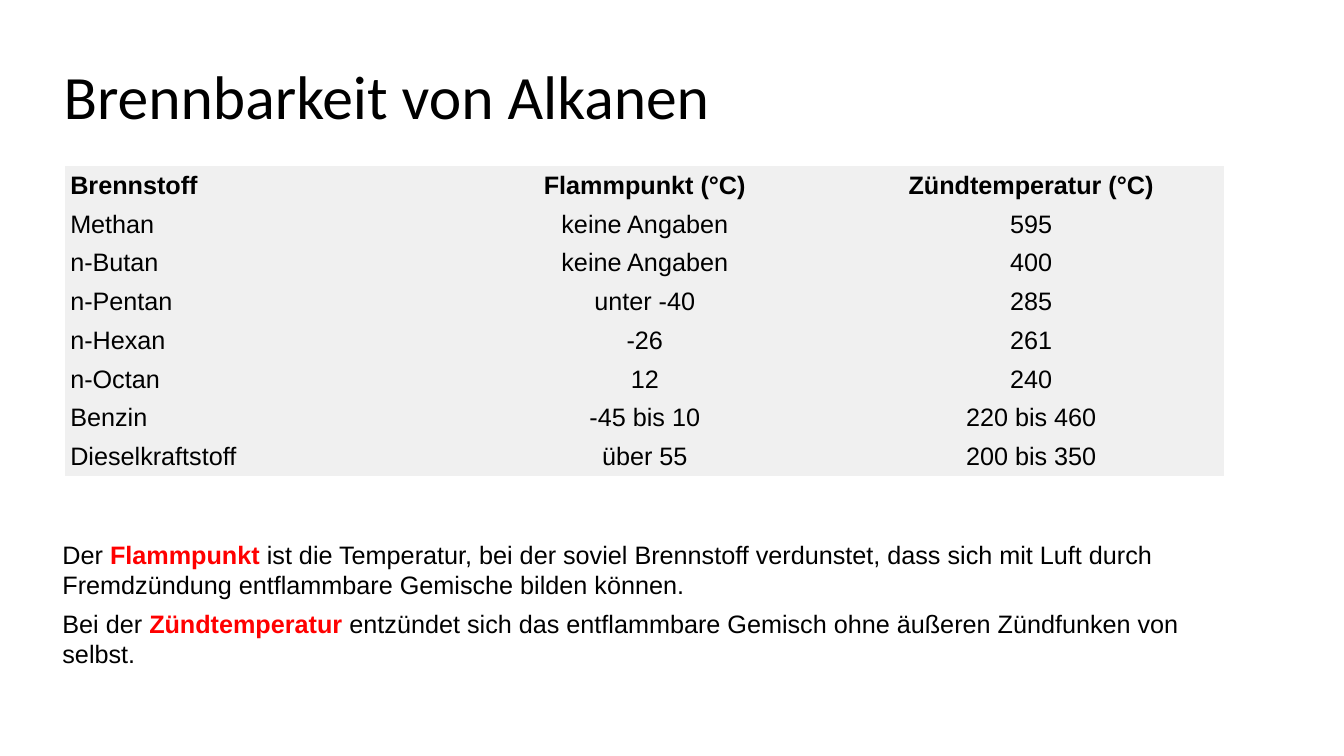
from dataclasses import dataclass

from pptx import Presentation
from pptx import util as u
from pptx.dml.color import RGBColor
from pptx.enum import text


@dataclass(frozen=True)
class Theme:
    ink: str = "000000"
    accent: str = "FF0000"
    cell: str = "F0F0F0"
    heading_font: str = "Calibri"
    body_font: str = "Arial"
    heading_size: int = 44
    body_size: int = 18
    plain_table: str = "{2D5ABB26-0587-4C30-8999-92F81FD0307C}"


def apply(target, values):
    for name, value in values.items():
        setattr(target, name, value)


class Deck:
    def __init__(self, theme, width, height):
        self.theme = theme
        self.prs = Presentation()
        apply(self.prs, {"slide_width": u.Pt(width), "slide_height": u.Pt(height)})
        self.s = self.prs.slides.add_slide(self.prs.slide_layouts[5])

    def run(self, p, content, color=None, **font):
        t = self.theme
        r = p.add_run()
        r.text = content
        apply(r.font, {"name": t.body_font, "size": u.Pt(t.body_size), "bold": False} | font)
        r.font.color.rgb = RGBColor.from_string(color or t.ink)

    def title(self, content, left, top, width, height):
        t = self.theme
        sp = self.s.shapes.title
        apply(sp, {"left": u.Pt(left), "top": u.Pt(top),
                   "width": u.Pt(width), "height": u.Pt(height)})
        tf = sp.text_frame
        apply(tf, {"vertical_anchor": text.MSO_ANCHOR.MIDDLE, "word_wrap": True,
                   "auto_size": text.MSO_AUTO_SIZE.NONE})
        p = tf.paragraphs[0]
        apply(p, {"alignment": text.PP_ALIGN.LEFT, "line_spacing": 0.9})
        self.run(p, content, name=t.heading_font, size=u.Pt(t.heading_size))

    def table(self, rows, left, top, width, row_height, inset):
        t = self.theme
        frame = self.s.shapes.add_table(
            len(rows), len(rows[0]), u.Pt(left), u.Pt(top),
            u.Pt(width), u.Pt(row_height * len(rows)))
        tbl = frame.table
        apply(tbl, {"first_row": False, "horz_banding": False})
        frame._element.xpath(".//a:tableStyleId")[0].text = t.plain_table
        sides = ("margin_left", "margin_top", "margin_right", "margin_bottom")
        cell_format = dict.fromkeys(sides, u.Pt(inset))
        cell_format["vertical_anchor"] = text.MSO_ANCHOR.MIDDLE
        for i, row in enumerate(rows):
            for j, value in enumerate(row):
                cell = tbl.cell(i, j)
                apply(cell, cell_format)
                cell.fill.solid()
                cell.fill.fore_color.rgb = RGBColor.from_string(t.cell)
                p = cell.text_frame.paragraphs[0]
                p.alignment = text.PP_ALIGN.CENTER if j else text.PP_ALIGN.LEFT
                self.run(p, value, bold=i == 0)

    def definitions(self, items, left, top, width, height, gap):
        tf = self.s.shapes.add_textbox(
            u.Pt(left), u.Pt(top), u.Pt(width), u.Pt(height)).text_frame
        apply(tf, {"word_wrap": True, "auto_size": text.MSO_AUTO_SIZE.SHAPE_TO_FIT_TEXT})
        for i, (before, term, after) in enumerate(items):
            p = tf.add_paragraph() if i else tf.paragraphs[0]
            p.space_after = u.Pt(gap)
            self.run(p, before)
            self.run(p, term, self.theme.accent, bold=True)
            self.run(p, after)


FUELS = [
    ("Brennstoff", "Flammpunkt (°C)", "Zündtemperatur (°C)"),
    ("Methan", "keine Angaben", "595"),
    ("n-Butan", "keine Angaben", "400"),
    ("n-Pentan", "unter -40", "285"),
    ("n-Hexan", "-26", "261"),
    ("n-Octan", "12", "240"),
    ("Benzin", "-45 bis 10", "220 bis 460"),
    ("Dieselkraftstoff", "über 55", "200 bis 350"),
]

DEFINITIONS = [
    ("Der ", "Flammpunkt",
     " ist die Temperatur, bei der soviel Brennstoff verdunstet, dass sich mit Luft "
     "durch Fremdzündung entflammbare Gemische bilden können."),
    ("Bei der ", "Zündtemperatur",
     " entzündet sich das entflammbare Gemisch ohne äußeren Zündfunken von selbst."),
]


def main():
    deck = Deck(Theme(), 960, 540)
    deck.title("Brennbarkeit von Alkanen", 38.2, 18.8, 828, 104.4)
    deck.table(FUELS, 46.6, 118.7, 828, 27.7, 3.6)
    deck.definitions(DEFINITIONS, 37.5, 381.8, 846, 100.8, 6)
    deck.prs.save("out.pptx")


if __name__ == "__main__":
    main()
